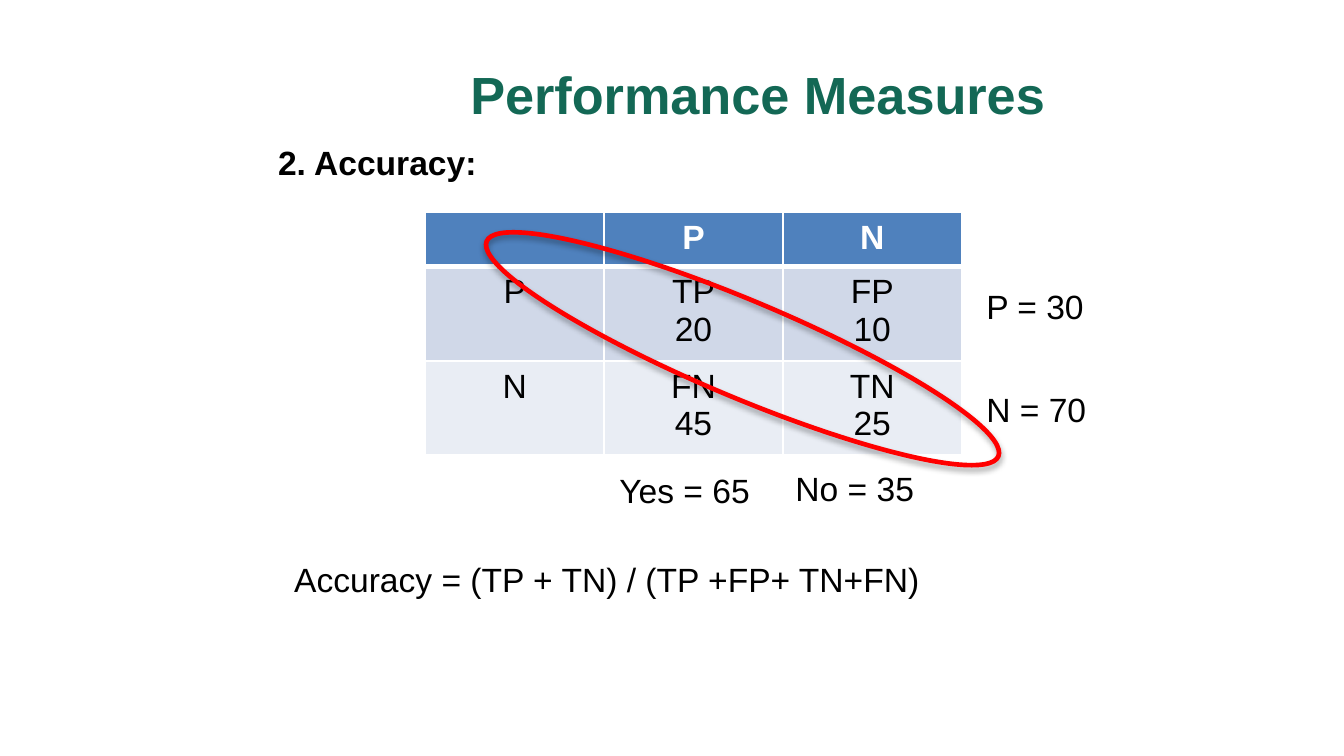
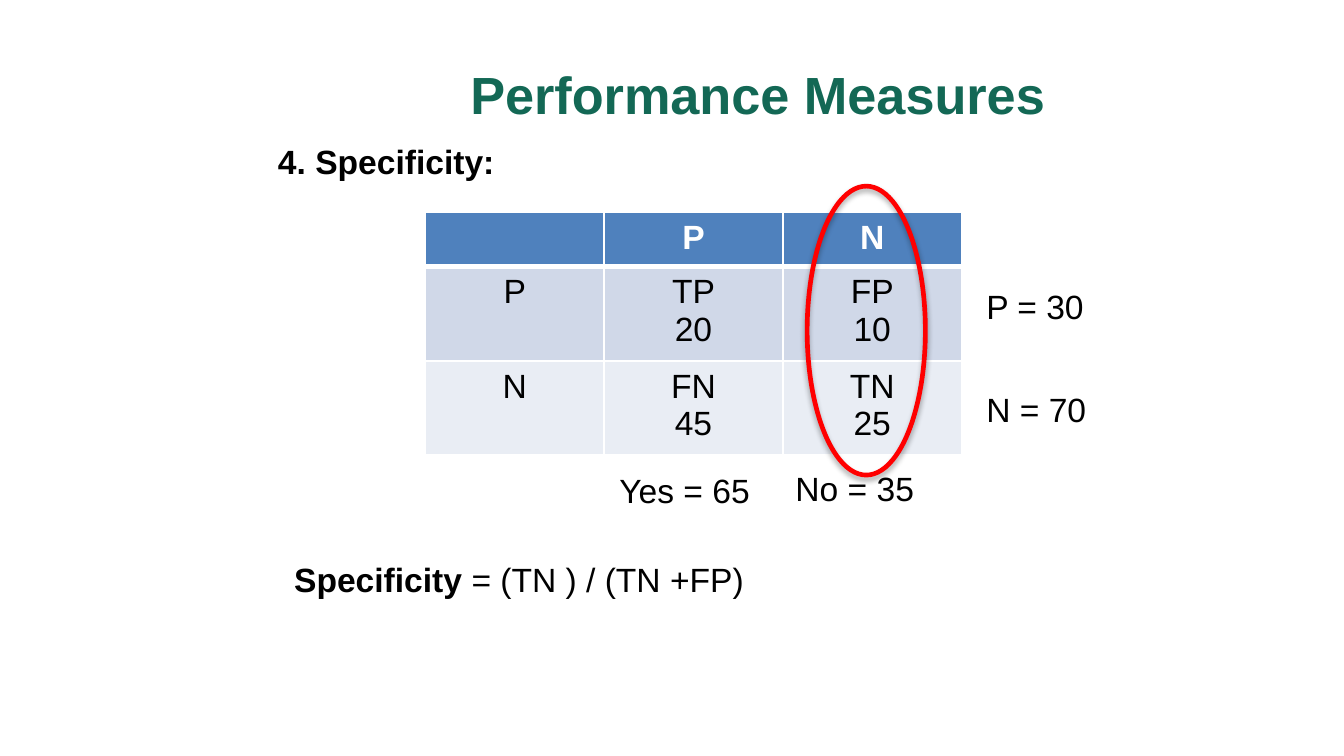
from lxml import etree
from pptx import Presentation
from pptx.dml.color import RGBColor
from pptx.enum import shapes, text
from pptx.oxml import parse_xml
from pptx.oxml.ns import nsdecls, qn
from pptx.util import Pt

SCALE = 4572
COLOURS = {
    "title": "136855",
    "ink": "000000",
    "white": "FFFFFF",
    "header": "4F81BD",
    "band": "D0D8E8",
    "pale": "E9EDF4",
    "ring": "FF0000",
}
MATRIX = [["", "P", "N"], ["P", "TP\n20", "FP\n10"], ["N", "FN\n45", "TN\n25"]]
ROW_FILLS = ["header", "band", "pale"]
ROW_HEIGHT = 81
COLUMN_WIDTH = 266
TOTALS = [
    ("P = 30", (1448, 416, 186, 80)),
    ("N = 70", (1448, 569, 190, 80)),
    ("Yes = 65", (902, 690, 236, 80)),
    ("No = 35", (1164, 687, 218, 80)),
]


def emu(*lengths):
    return [length * SCALE for length in lengths]


def colour(name):
    return RGBColor.from_string(COLOURS[name])


class Slides:
    font = "Arial"
    body_size = 18
    title_size = 28

    def __init__(self):
        self.deck = Presentation()
        self.deck.slide_width, self.deck.slide_height = emu(2000, 1125)
        self.page = None

    def new_page(self):
        self.page = self.deck.slides.add_slide(self.deck.slide_layouts[6])

    def style(self, para, size=body_size, ink="ink", bold=None, align=None):
        para.font.name = self.font
        para.font.size = Pt(size)
        para.font.color.rgb = colour(ink)
        para.font.bold = bold
        para.alignment = align

    def words(self, spans, place, wrap=False, anchor=text.MSO_ANCHOR.TOP, **look):
        box = self.page.shapes.add_textbox(*emu(*place))
        frame = box.text_frame
        frame.word_wrap = wrap
        frame.vertical_anchor = anchor
        para = frame.paragraphs[0]
        for words, bold in spans:
            span = para.add_run()
            span.text = words
            span.font.bold = bold
        self.style(para, **look)

    def title(self, words):
        self.words([(words, True)], (376, 46, 1524, 188), wrap=True,
                   anchor=text.MSO_ANCHOR.MIDDLE, size=self.title_size,
                   ink="title", align=text.PP_ALIGN.CENTER)

    def border(self, cell, side, points):
        properties = cell._tc.get_or_add_tcPr()
        line = etree.SubElement(properties, qn(f"a:ln{side}"), w=str(Pt(points)))
        fill = etree.SubElement(line, qn("a:solidFill"))
        etree.SubElement(fill, qn("a:srgbClr"), val=COLOURS["white"])

    def matrix(self, left, top, height):
        place = emu(left, top, COLUMN_WIDTH * len(MATRIX[0]), height)
        frame = self.page.shapes.add_table(len(MATRIX), len(MATRIX[0]), *place)
        table = frame.table
        for column in table.columns:
            column.width, = emu(COLUMN_WIDTH)
        for row, labels in enumerate(MATRIX):
            table.rows[row].height, = emu(ROW_HEIGHT)
            header = row == 0
            for column, label in enumerate(labels):
                cell = table.cell(row, column)
                cell.text = label
                for side in "LRTB":
                    self.border(cell, side, 3 if header and side == "B" else 1)
                cell.fill.solid()
                cell.fill.fore_color.rgb = colour(ROW_FILLS[row])
                for para in cell.text_frame.paragraphs:
                    self.style(para, ink="white" if header else "ink",
                               bold=header, align=text.PP_ALIGN.CENTER)
        frame.height, = emu(height)

    def ring(self, place, angle):
        ellipse = self.page.shapes.add_shape(shapes.MSO_SHAPE.OVAL, *emu(*place))
        ellipse.rotation = angle
        ellipse.fill.background()
        ellipse.line.color.rgb = colour("ring")
        ellipse.line.width = Pt(2.5)
        ellipse.shadow.inherit = False
        effects = ellipse.element.spPr.find(qn("a:effectLst"))
        effects.append(parse_xml(
            f'<a:outerShdw {nsdecls("a")} blurRad="40000" dist="23000" '
            f'dir="5400000" rotWithShape="0"><a:srgbClr val="{COLOURS["ink"]}">'
            '<a:alpha val="35000"/></a:srgbClr></a:outerShdw>'))

    def measure(self, heading, heading_place, formula, table_height, ring_place, angle):
        self.new_page()
        self.title("Performance Measures ")
        self.matrix(633, 316, table_height)
        self.words(formula, (418, 822, 1542, 142), wrap=True)
        for label, place in TOTALS:
            self.words([(label, None)], place)
        self.words([(heading, True)], heading_place)
        self.ring(ring_place, angle)


def main():
    slides = Slides()
    slides.measure("2. Accuracy:", (394, 201, 338, 142),
                   [("Accuracy = (TP + TN) / (TP +FP+ TN+FN)", None)],
                   362, (692, 447, 826, 144), 22.8)
    slides.measure("4. Specificity:", (394, 200, 366, 80),
                   [("Specificity", True), (" = (TN ) / (TN +FP)", False)],
                   360, (1074, 404, 430, 176), 90)
    slides.deck.save("out.pptx")


if __name__ == "__main__":
    main()
